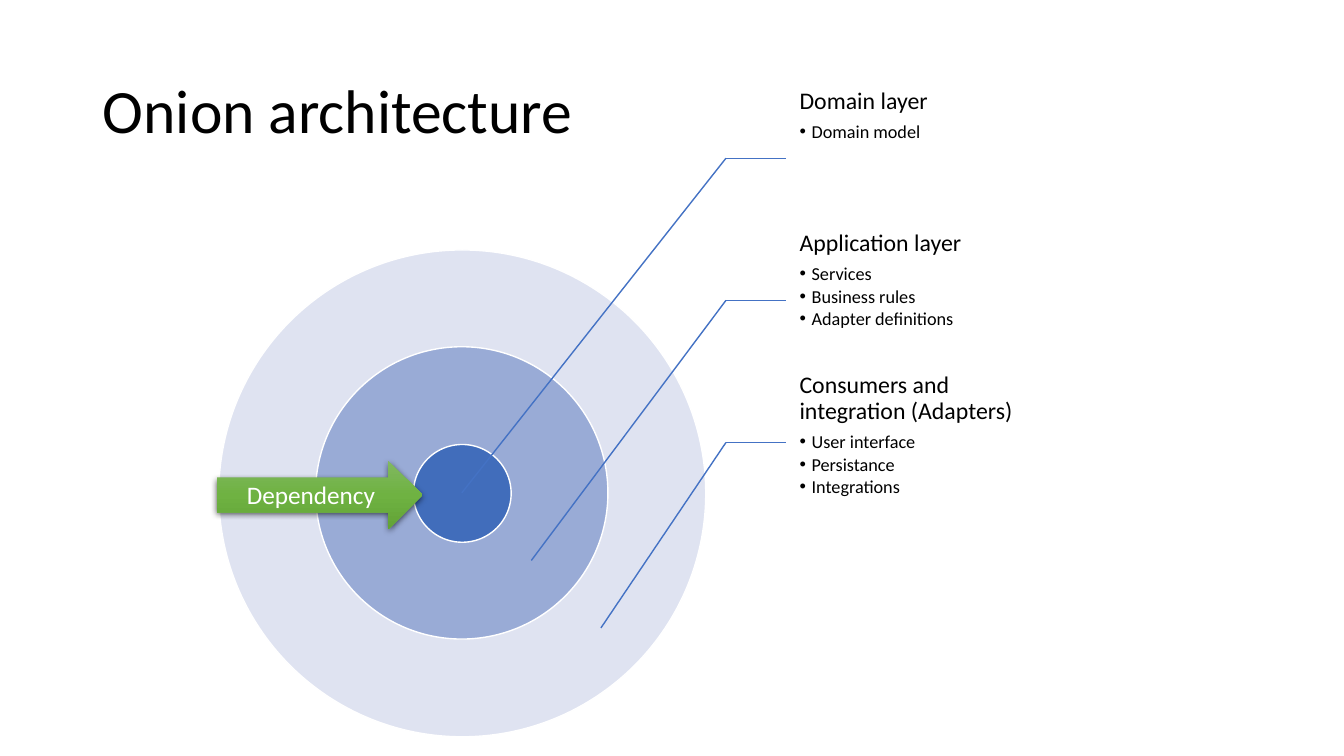
from copy import deepcopy
from dataclasses import dataclass

from lxml import etree
from pptx import Presentation
from pptx.dml.color import RGBColor
from pptx.enum.shapes import MSO_CONNECTOR, MSO_SHAPE
from pptx.enum.text import MSO_ANCHOR, MSO_AUTO_SIZE, PP_ALIGN
from pptx.oxml.ns import qn
from pptx.util import Pt

LEFT, CENTER = PP_ALIGN.LEFT, PP_ALIGN.CENTER
TOP, MIDDLE = MSO_ANCHOR.TOP, MSO_ANCHOR.MIDDLE
OVAL, ARROW = MSO_SHAPE.OVAL, MSO_SHAPE.RIGHT_ARROW
STRAIGHT = MSO_CONNECTOR.STRAIGHT
FIT_NONE = MSO_AUTO_SIZE.NONE

PX = 9144  # 100 px to the inch
FONT = "Calibri"
COLORS = {
    "text": "000000", "white": "FFFFFF", "leader": "4472C4",
    "outer": "C1C9E4", "middle": "8299CE", "core": "416DBB",
    "light": "81B861", "green": "6FB242", "dark": "62A336",
}
HUB_X, HUB_Y = 458, 489
BEND_X, LABEL_X = 720, 780
LABEL_Y, LABEL_W, LABEL_H = 86, 242, 141
STEP_X, STEP_Y = 69, 67


@dataclass
class Ring:
    size: int
    color: str
    alpha: int


@dataclass
class Layer:
    name: str
    items: list[str]


RINGS = [Ring(483, "outer", 50), Ring(290, "middle", 75), Ring(97, "core", 100)]
LAYERS = [
    Layer("Domain layer", ["Domain model"]),
    Layer("Application layer", ["Services", "Business rules", "Adapter definitions"]),
    Layer("Consumers and integration (Adapters)",
          ["User interface", "Persistance", "Integrations"]),
]


def rgb(name: str) -> RGBColor:
    return RGBColor.from_string(COLORS[name])


def place(shape, x: int, y: int, w: int, h: int) -> None:
    shape.left, shape.top, shape.width, shape.height = (v * PX for v in (x, y, w, h))


def setup(shape, anchor, inset: tuple[int, ...] = (10, 5, 10, 5)):
    frame = shape.text_frame
    frame.word_wrap = True
    frame.auto_size = FIT_NONE
    frame.vertical_anchor = anchor
    (frame.margin_left, frame.margin_top,
     frame.margin_right, frame.margin_bottom) = (v * PX for v in inset)
    return frame


def write(frame, text: str, *, size: int, color: str = "text", align=LEFT,
          bullet: bool = False, after: int = 0, lead: float = 0.9) -> None:
    para = frame.paragraphs[0]
    if para.runs:
        para = frame.add_paragraph()
    props = para._p.get_or_add_pPr()
    if bullet:
        para.level = 1
        etree.SubElement(props, qn("a:buChar"), char="•")
    else:
        etree.SubElement(props, qn("a:buNone"))
    props.set("marL", str(12 * PX if bullet else 0))
    props.set("indent", str(-12 * PX if bullet else 0))
    para.alignment = align
    para.line_spacing = lead
    para.space_before, para.space_after = Pt(0), Pt(after)
    run = para.add_run()
    run.text = text
    run.font.name, run.font.size, run.font.bold = FONT, Pt(size), False
    run.font.color.rgb = rgb(color)


def draw_ring(slide, ring: Ring) -> None:
    half = ring.size // 2
    shape = slide.shapes.add_shape(OVAL, 0, 0, 0, 0)
    place(shape, HUB_X - half, HUB_Y - half, ring.size, ring.size)
    shape.shadow.inherit = False
    shape.fill.solid()
    shape.fill.fore_color.rgb = rgb(ring.color)
    if ring.alpha < 100:
        tint = shape._element.spPr.find(qn("a:solidFill"))[0]
        etree.SubElement(tint, qn("a:alpha"), val=str(ring.alpha * 1000))
    shape.line.color.rgb = rgb("white")
    shape.line.width = Pt(1)


def draw_line(slide, *ends: int) -> None:
    line = slide.shapes.add_connector(STRAIGHT, *(v * PX for v in ends))
    line.line.color.rgb = rgb("leader")
    line.line.width = Pt(1)
    etree.SubElement(line._element.spPr, qn("a:effectLst"))


def draw_layer(slide, body, index: int, layer: Layer) -> None:
    top = LABEL_Y + index * LABEL_H
    mid = top + LABEL_H // 2 + 1
    place(body, LABEL_X, top, LABEL_W, LABEL_H)
    frame = setup(body, TOP, (13, 2, 2, 2))
    write(frame, layer.name, size=17, after=6)
    for item in layer.items:
        write(frame, item, size=13, bullet=True, after=2)
    draw_line(slide, BEND_X, mid, LABEL_X, mid)
    draw_line(slide, BEND_X, mid, HUB_X + index * STEP_X, HUB_Y + index * STEP_Y)


def draw_arrow(slide) -> None:
    shape = slide.shapes.add_shape(ARROW, 0, 0, 0, 0)
    place(shape, 215, 457, 204, 68)
    shape.line.fill.background()
    # Three-stop green gradient, running downward
    shape.fill.gradient()
    shape.fill.gradient_angle = 270
    stops = shape._element.spPr.find(".//" + qn("a:gsLst"))
    stops.append(deepcopy(stops[0]))
    for stop, name, pos in zip(shape.fill.gradient_stops,
                               ("light", "green", "dark"), (0, 0.5, 1)):
        stop.color.rgb = rgb(name)
        stop.position = pos
    # Soft shadow below
    shape.shadow.inherit = False
    effects = shape._element.spPr.find(qn("a:effectLst"))
    shade = etree.SubElement(effects, qn("a:outerShdw"), blurRad=str(Pt(4.5)),
                             dist=str(Pt(1.5)), dir="5400000", algn="ctr",
                             rotWithShape="0")
    black = etree.SubElement(shade, qn("a:srgbClr"), val=COLORS["text"])
    etree.SubElement(black, qn("a:alpha"), val="63000")
    write(setup(shape, MIDDLE), "Dependency", size=18, color="white",
          align=CENTER, lead=1.0)


def main() -> None:
    deck = Presentation()
    deck.slide_width, deck.slide_height = 1333 * PX, 750 * PX
    slide = deck.slides.add_slide(deck.slide_layouts[4])
    title, *bodies = slide.placeholders

    # Title
    place(title, 92, 40, 1150, 145)
    write(setup(title, MIDDLE), "Onion architecture", size=44)

    # Onion rings, from the outside in
    for ring in RINGS:
        draw_ring(slide, ring)

    # Layer labels with their leader lines
    for index, (body, layer) in enumerate(zip(bodies, LAYERS)):
        draw_layer(slide, body, index, layer)
    for spare in bodies[len(LAYERS):]:
        spare._element.getparent().remove(spare._element)

    # Dependency arrow
    draw_arrow(slide)
    deck.save("out.pptx")


if __name__ == "__main__":
    main()
